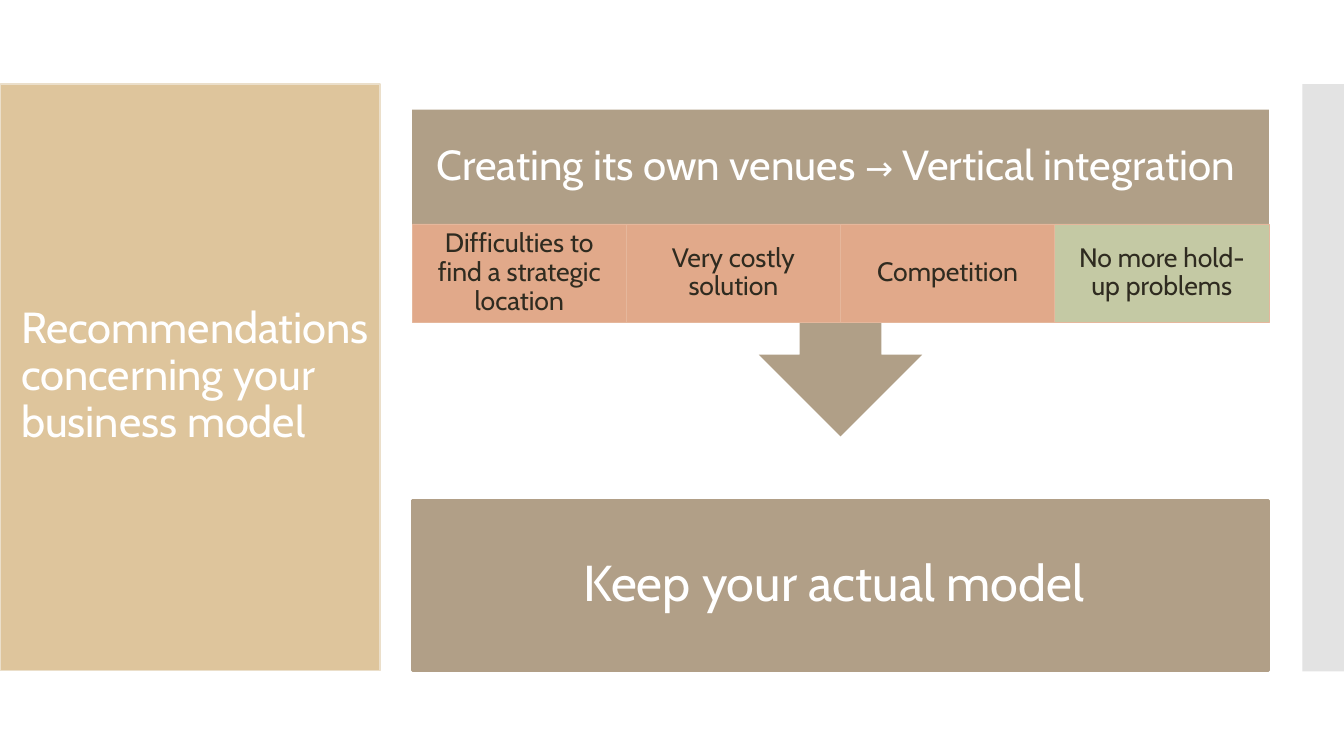
from pptx import Presentation
from pptx.dml.color import RGBColor
from pptx.enum import shapes as sh, text as tx
from pptx.util import Pt

# Content
TITLE = "Recommendations concerning your business model"
HEAD = [("Creating its own venues ", 30), ("→", 24), (" Vertical integration ", 30)]
CELLS = [
    ("Difficulties to find a strategic location", "E1A98A"),
    ("Very costly solution", "E1A98A"),
    ("Competition", "E1A98A"),
    ("No more hold-up problems", "C4C9A4"),
]
RESULT = "Keep your actual model "

# Style
FONT = "Cabin"
WHITE, DARK = "FFFFFF", "2F2B20"
SAND, BROWN, TAUPE, GREY = "DEC59C", "B09F87", "B19F87", "E3E3E3"
BOX, ARROW = sh.MSO_SHAPE.RECTANGLE, sh.MSO_SHAPE.DOWN_ARROW_CALLOUT
TOP, MID, LOW = tx.MSO_ANCHOR.TOP, tx.MSO_ANCHOR.MIDDLE, tx.MSO_ANCHOR.BOTTOM
LEFT, CENTER = tx.PP_ALIGN.LEFT, tx.PP_ALIGN.CENTER

# Layout, in points
COL, WIDE = 294.4, 612
CALL_TOP, CALL_H = 78.4, 233.3
HEAD_H, CELL_TOP, CELL_H = 82, 160, 70
CELL_W = WIDE / len(CELLS)

deck = Presentation()
deck.slide_width, deck.slide_height = Pt(960), Pt(540)
slide = deck.slides.add_slide(deck.slide_layouts[6])


def color(code):
    return RGBColor.from_string(code)


def block(kind, x, y, w, h, fill, line=None, width=0.5):
    part = slide.shapes.add_shape(kind, Pt(x), Pt(y), Pt(w), Pt(h))
    part.shadow.inherit = False
    part.fill.solid()
    part.fill.fore_color.rgb = color(fill)
    if line:
        part.line.color.rgb = color(line)
        part.line.width = Pt(width)
    else:
        part.line.fill.background()
    return part


def write(part, runs, ink, align, anchor, side, edge):
    frame = part.text_frame
    frame.word_wrap = True
    frame.vertical_anchor = anchor
    frame.margin_left = frame.margin_right = Pt(side)
    frame.margin_top = frame.margin_bottom = Pt(edge)
    para = frame.paragraphs[0]
    para.alignment = align
    para.line_spacing = 0.9
    for words, size in runs:
        run = para.add_run()
        run.text = words
        run.font.name = FONT
        run.font.size = Pt(size)
        run.font.color.rgb = color(ink)


def label(x, y, w, h, *style):
    write(slide.shapes.add_textbox(Pt(x), Pt(y), Pt(w), Pt(h)), *style)


# Side panels and title
block(BOX, 930.4, 60, 29.6, 419.5, GREY)
block(BOX, 0.5, 60, 271, 419, SAND, "EBDFCA", 1)
label(8, 65.5, 271.4, 257, [(TITLE, 31)], WHITE, LEFT, LOW, 7.2, 3.6)

# Callout with its heading
call = block(ARROW, COL, CALL_TOP, WIDE, CALL_H, BROWN)
for i, share in enumerate((0.25, 0.25, 0.25, 0.65)):
    call.adjustments[i] = share
label(COL, CALL_TOP, WIDE, HEAD_H, HEAD, WHITE, CENTER, MID, 16.5, 16.5)

# Row of arguments
for i, (words, fill) in enumerate(CELLS):
    cell = block(BOX, COL + i * CELL_W, CELL_TOP, CELL_W, CELL_H, fill, "E5B79C", 0.4)
    write(cell, [(words, 19)], DARK, CENTER, MID, 10.8, 2.2)

# Conclusion
block(BOX, COL, 357.8, WIDE, 121, TAUPE, TAUPE, 2)
label(393.8, 391.5, 411.8, 80, [(RESULT, 36)], WHITE, CENTER, TOP, 7.2, 7.2)

deck.save("out.pptx")
